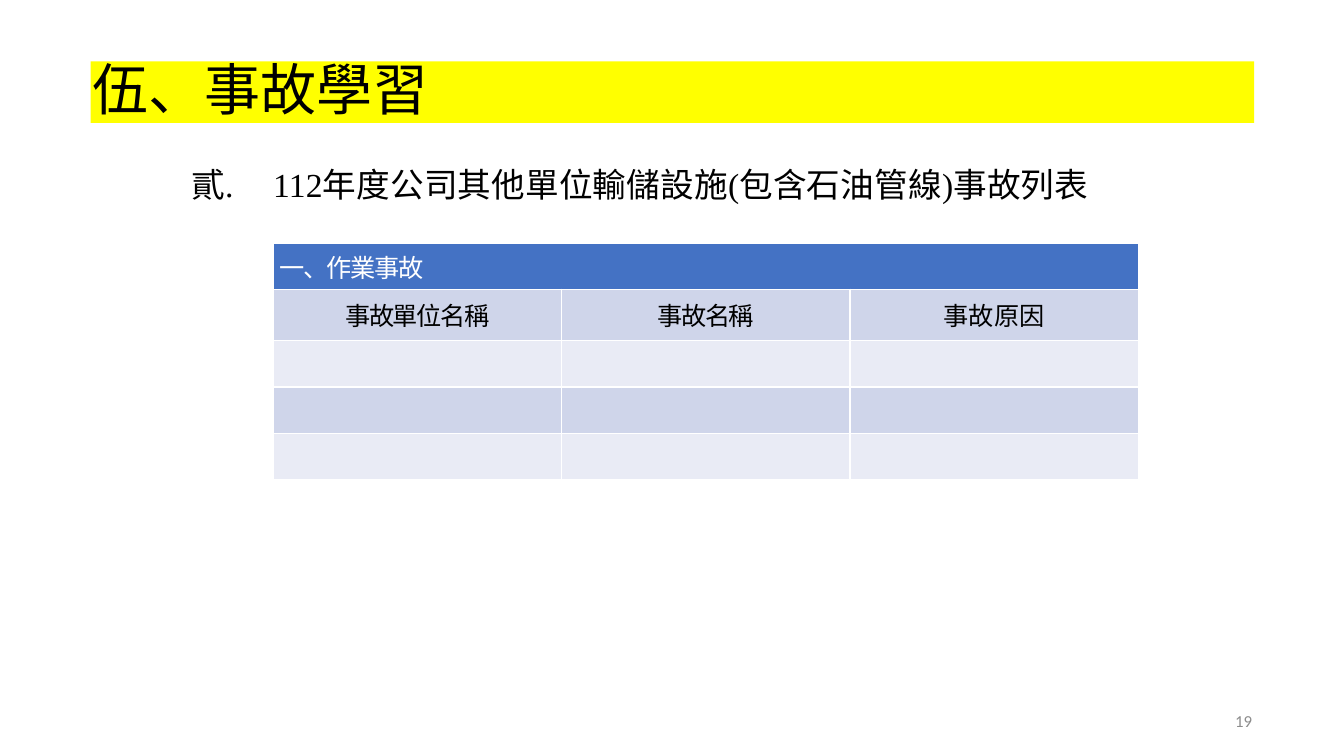
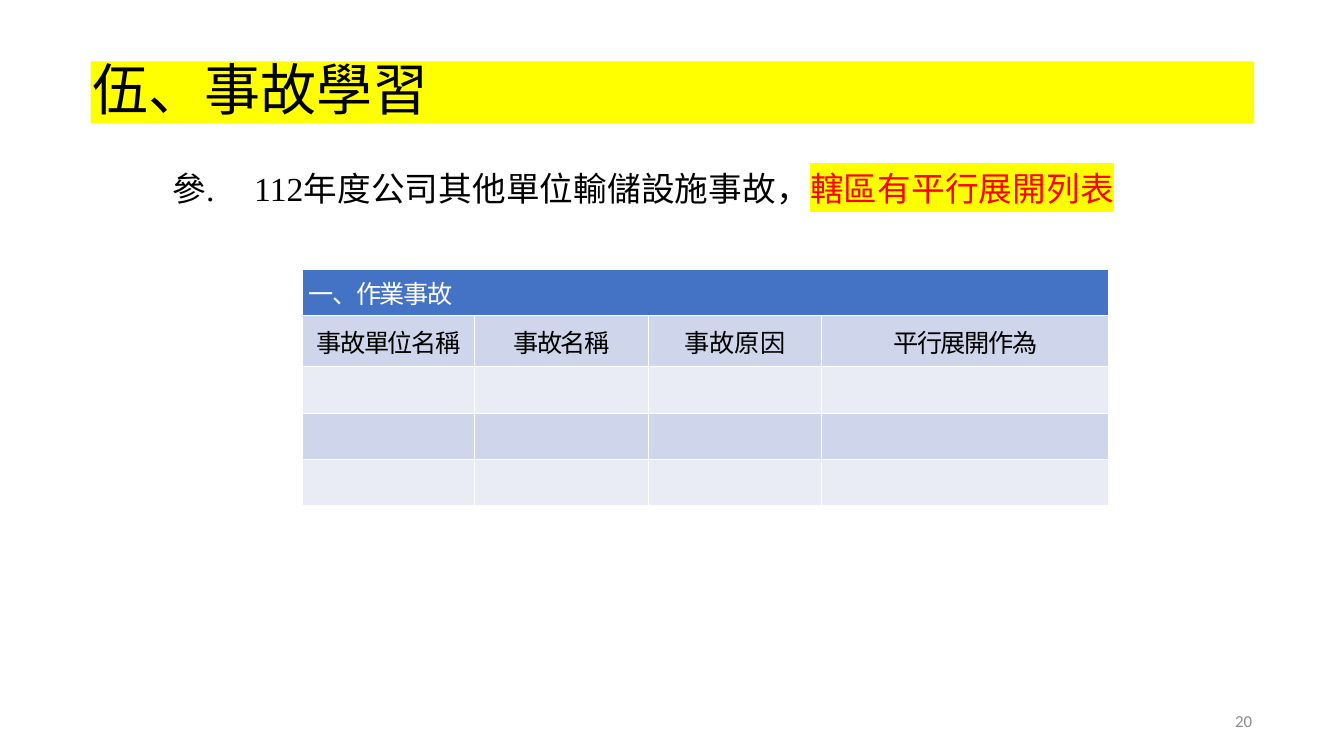
"""Build two accident-learning slides, each with a heading and a table."""
from lxml import etree
from pptx import Presentation, util as u
from pptx.dml.color import RGBColor
from pptx.enum import text as t
from pptx.oxml.ns import qn

HUES = {"black": "000000", "white": "FFFFFF", "red": "FF0000",
        "mark": "FFFF00", "head": "4472C4", "dark": "CFD5EA",
        "pale": "E9EBF5", "gray": "8C8C8C"}
SERIF, SANS = "Times New Roman", "Noto Sans CJK SC"
TITLE = "伍、事故學習"
GROUP = "一、作業事故"
ROWS = [0.46, 0.51, 0.46, 0.46, 0.46]
PAGES = [
    {"no": 19, "start": 2, "head": (1.88, 1.63, 10.24, 0.4),
     "runs": [("112年度公司其他單位輸儲設施(包含石油管線)事故列表", "black", None)],
     "grid": (2.71, 2.41),
     "cols": [("事故單位名稱", 2.86, -1), ("事故名稱", 2.86, -1),
              ("事故原因", 2.86, 0)]},
    {"no": 20, "start": 3, "head": (1.69, 1.67, 10.79, 0.4),
     "runs": [("112年度公司其他單位輸儲設施事故，", "black", None),
              ("轄區有平行展開列表", "red", "mark")],
     "grid": (3, 2.67),
     "cols": [("事故單位名稱", 1.71, -1), ("事故名稱", 1.72, -1),
              ("事故原因", 1.72, 0), ("平行展開作為", 2.85, -1)]},
]


def hue(name):
    return RGBColor.from_string(HUES[name])


def apply(item, vals):
    for key, val in vals.items():
        setattr(item, key, val)


def paint(shape, name):
    shape.fill.solid()
    shape.fill.fore_color.rgb = hue(name)


def write(para, words, size, face, tint, gap=0, mark=None):
    run = para.add_run()
    run.text = words
    apply(run.font, {"size": u.Pt(size), "name": face, "bold": False})
    run.font.color.rgb = hue(tint)
    props = run.font._element
    props.set("spc", str(round(gap * 100)))
    latin = props.find(qn("a:latin"))
    east = etree.Element(qn("a:ea"), typeface=SANS)
    latin.addnext(east)
    if mark:
        light = etree.Element(qn("a:highlight"))
        etree.SubElement(light, qn("a:srgbClr"), val=HUES[mark])
        latin.addprevious(light)


def indent(para, left, first):
    props = para._p.get_or_add_pPr()
    props.set("marL", str(u.Inches(left)))
    props.set("indent", str(u.Inches(first)))
    return props


def frame(shape, anchor):
    apply(shape.text_frame, {
        "margin_left": 0, "margin_top": 0, "margin_right": 0,
        "margin_bottom": 0, "word_wrap": True, "vertical_anchor": anchor})
    return shape.text_frame.paragraphs[0]


def add_box(slide, box, anchor):
    return frame(slide.shapes.add_textbox(*map(u.Inches, box)), anchor)


def add_title(slide):
    title = slide.shapes.title
    apply(title, dict(zip(("left", "top", "width", "height"),
                          map(u.Inches, (0.9, 0.61, 11.54, 0.61)))))
    paint(title, "mark")
    para = frame(title, t.MSO_ANCHOR.MIDDLE)
    indent(para, 0.02, 0)
    apply(para, {"alignment": t.PP_ALIGN.LEFT, "line_spacing": 0.9})
    write(para, TITLE, 40, SERIF, "black", 0.1)


def add_head(slide, page):
    para = add_box(slide, page["head"], t.MSO_ANCHOR.TOP)
    props = indent(para, 0.83, -0.81)
    etree.SubElement(props, qn("a:buFont"), typeface=SERIF)
    etree.SubElement(props, qn("a:buAutoNum"), type="ea1ChtPeriod",
                     startAt=str(page["start"]))
    for words, tint, mark in page["runs"]:
        write(para, words, 24, SERIF, tint, 0.1, mark)


def add_grid(slide, page):
    cols = page["cols"]
    size = sum(col[1] for col in cols), sum(ROWS)
    grid = slide.shapes.add_table(
        len(ROWS), len(cols), *map(u.Inches, page["grid"] + size)).table
    for row, tall in zip(grid.rows, ROWS):
        row.height = u.Inches(tall)
    for col, (_, wide, _) in zip(grid.columns, cols):
        col.width = u.Inches(wide)
    for r in range(len(ROWS)):
        for c in range(len(cols)):
            cell = grid.cell(r, c)
            paint(cell, "head" if r == 0 else "dark" if r % 2 else "pale")
            apply(cell, {
                "margin_left": u.Inches(0.06), "margin_right": u.Inches(0.06),
                "margin_top": u.Inches(0.03), "margin_bottom": u.Inches(0.03),
                "vertical_anchor": t.MSO_ANCHOR.MIDDLE})
    grid.cell(0, 0).merge(grid.cell(0, len(cols) - 1))
    write(grid.cell(0, 0).text_frame.paragraphs[0], GROUP, 18, SANS, "white", -1)
    for c, (label, _, gap) in enumerate(cols):
        para = grid.cell(1, c).text_frame.paragraphs[0]
        para.alignment = t.PP_ALIGN.CENTER
        write(para, label, 18, SANS, "black", gap)


def add_foot(slide, page):
    para = add_box(slide, (9.42, 6.95, 3, 0.4), t.MSO_ANCHOR.MIDDLE)
    para.alignment = t.PP_ALIGN.RIGHT
    write(para, str(page["no"]), 12, "Calibri", "gray")


def main():
    deck = Presentation()
    apply(deck, {"slide_width": u.Inches(13.33), "slide_height": u.Inches(7.5)})
    for page in PAGES:
        slide = deck.slides.add_slide(deck.slide_layouts[5])
        add_title(slide)
        add_grid(slide, page)
        add_foot(slide, page)
        add_head(slide, page)
    deck.save("out.pptx")


if __name__ == "__main__":
    main()
